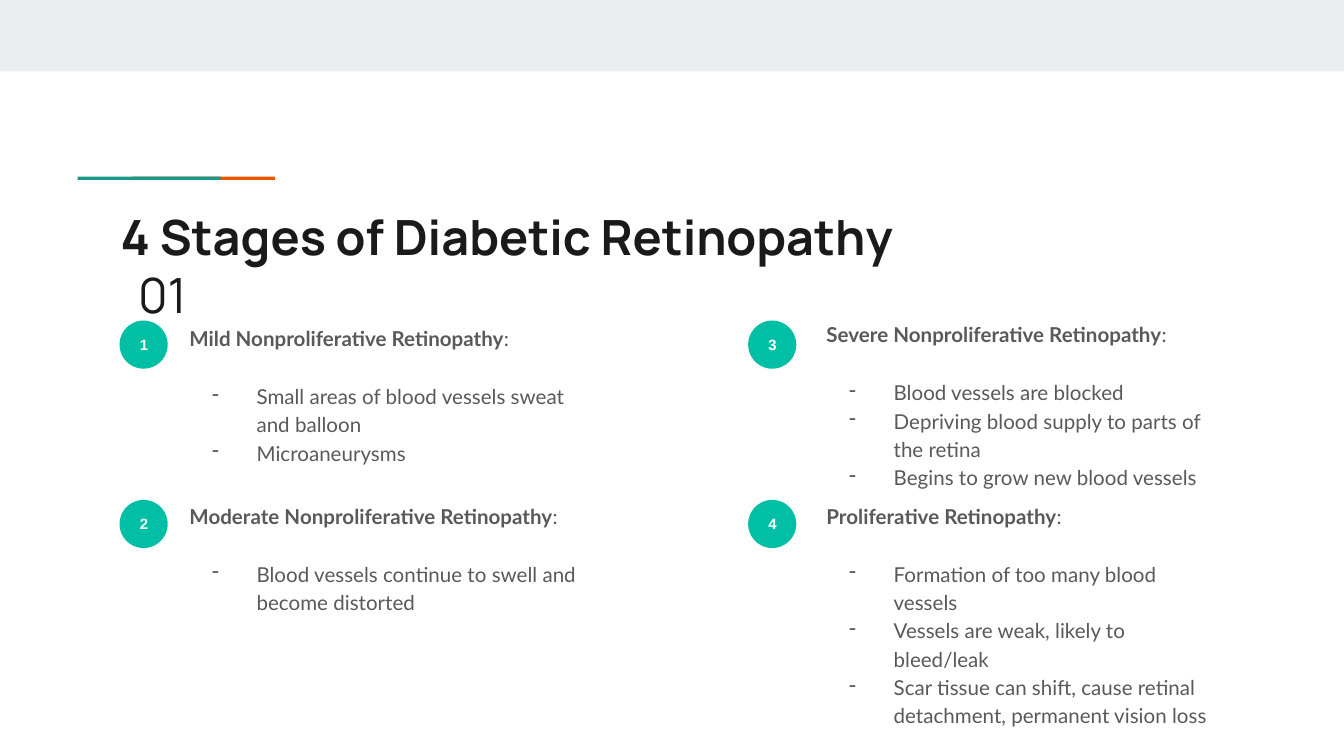
import pptx
import pptx.util
import pptx.dml.color
import pptx.enum.shapes
import pptx.enum.text
import pptx.oxml.ns
from lxml import etree

Cm, Pt = pptx.util.Cm, pptx.util.Pt
RGBColor = pptx.dml.color.RGBColor
SHAPE = pptx.enum.shapes.MSO_SHAPE
ALIGN = pptx.enum.text.PP_ALIGN
ANCHOR = pptx.enum.text.MSO_ANCHOR
qn = pptx.oxml.ns.qn

BAND = RGBColor(0xE9, 0xED, 0xEE)
ORANGE = RGBColor(0xEB, 0x56, 0x00)
TEAL = RGBColor(0x1A, 0x99, 0x88)
GREEN = RGBColor(0x00, 0xBF, 0xA5)
INK = RGBColor(0x1A, 0x1A, 0x1A)
GREY = RGBColor(0x59, 0x59, 0x59)
WHITE = RGBColor(0xFF, 0xFF, 0xFF)

TITLE = "4 Stages of Diabetic Retinopathy"
SECTION = "01"
STAGES = [
    ("Mild Nonproliferative Retinopathy", 5.84,
     ["Small areas of blood vessels sweat and balloon", "Microaneurysms"]),
    ("Moderate Nonproliferative Retinopathy", 9.2,
     ["Blood vessels continue to swell and become distorted"]),
    ("Severe Nonproliferative Retinopathy", 5.77,
     ["Blood vessels are blocked",
      "Depriving blood supply to parts of the retina",
      "Begins to grow new blood vessels"]),
    ("Proliferative Retinopathy", 9.2,
     ["Formation of too many blood vessels",
      "Vessels are weak, likely to bleed/leak",
      "Scar tissue can shift, cause retinal detachment, permanent vision loss"]),
]
COLUMNS = [(2.26, 3.33), (14.14, 15.37)]
BADGE_TOP, BADGE_PITCH, BADGE_SIZE = 6.06, 3.39, 0.91

prs = pptx.Presentation()
prs.slide_width, prs.slide_height = Cm(25.4), Cm(14.29)
s = prs.slides.add_slide(prs.slide_layouts[6])


def add_shape(kind, x, y, w, h, color):
    sp = s.shapes.add_shape(kind, Cm(x), Cm(y), Cm(w), Cm(h))
    sp.shadow.inherit = False
    sp.fill.solid()
    sp.fill.fore_color.rgb = color
    sp.line.fill.background()
    return sp


def add_frame(x, y, w, h):
    tf = s.shapes.add_textbox(Cm(x), Cm(y), Cm(w), Cm(h)).text_frame
    set_margins(tf)
    return tf


def set_margins(tf):
    tf.word_wrap = True
    tf.margin_left = tf.margin_right = tf.margin_top = tf.margin_bottom = Cm(0.25)


def add_text(tf, text, font, size, color, bold=False, tail="", align=ALIGN.LEFT,
             spacing=1.0, before=0, left=0, bullet=None):
    p = tf.paragraphs[0]
    if p.runs:
        p = tf.add_paragraph()
    pPr = p._p.get_or_add_pPr()
    if left:
        pPr.set("marL", str(Cm(left)))
    if bullet:
        pPr.set("indent", str(Cm(-0.84)))
        clr = etree.SubElement(pPr, qn("a:buClr"))
        etree.SubElement(clr, qn("a:srgbClr"), val=str(color))
        etree.SubElement(pPr, qn("a:buChar"), char=bullet)
    p.alignment, p.line_spacing, p.space_before = align, spacing, Pt(before)
    for part, weight in ((text, bold), (tail, False)):
        if part:
            r = p.add_run()
            r.text = part
            r.font.name, r.font.size, r.font.bold = font, Pt(size), weight
            r.font.color.rgb = color


add_shape(SHAPE.RECTANGLE, 0, 0, 25.4, 1.35, BAND)
for x, color in ((2.5, ORANGE), (1.47, TEAL)):
    add_shape(SHAPE.RECTANGLE, x, 3.34, 2.7, 0.06, color)

tf = add_frame(2.03, 3.66, 21.36, 1.5)
add_text(tf, TITLE, "Manrope", 26, INK, bold=True)
add_text(tf, SECTION, "Manrope", 26, INK, left=0.33)

for i, (name, top, points) in enumerate(STAGES):
    col, row = divmod(i, 2)
    badge_x, text_x = COLUMNS[col]
    sp = add_shape(SHAPE.OVAL, badge_x, BADGE_TOP + row * BADGE_PITCH,
                   BADGE_SIZE, BADGE_SIZE, GREEN)
    set_margins(sp.text_frame)
    sp.text_frame.vertical_anchor = ANCHOR.MIDDLE
    add_text(sp.text_frame, str(i + 1), "Arial", 8, WHITE, bold=True, align=ALIGN.CENTER)

    tf = add_frame(text_x, top, 7.87, 2.92)
    add_text(tf, name, "Lato", 11, GREY, bold=True, tail=":", spacing=1.15)
    for j, point in enumerate(points):
        add_text(tf, point, "Lato", 11, GREY, spacing=1.15, left=1.27,
                 before=0 if j else 16, bullet="-")

prs.save("out.pptx")
